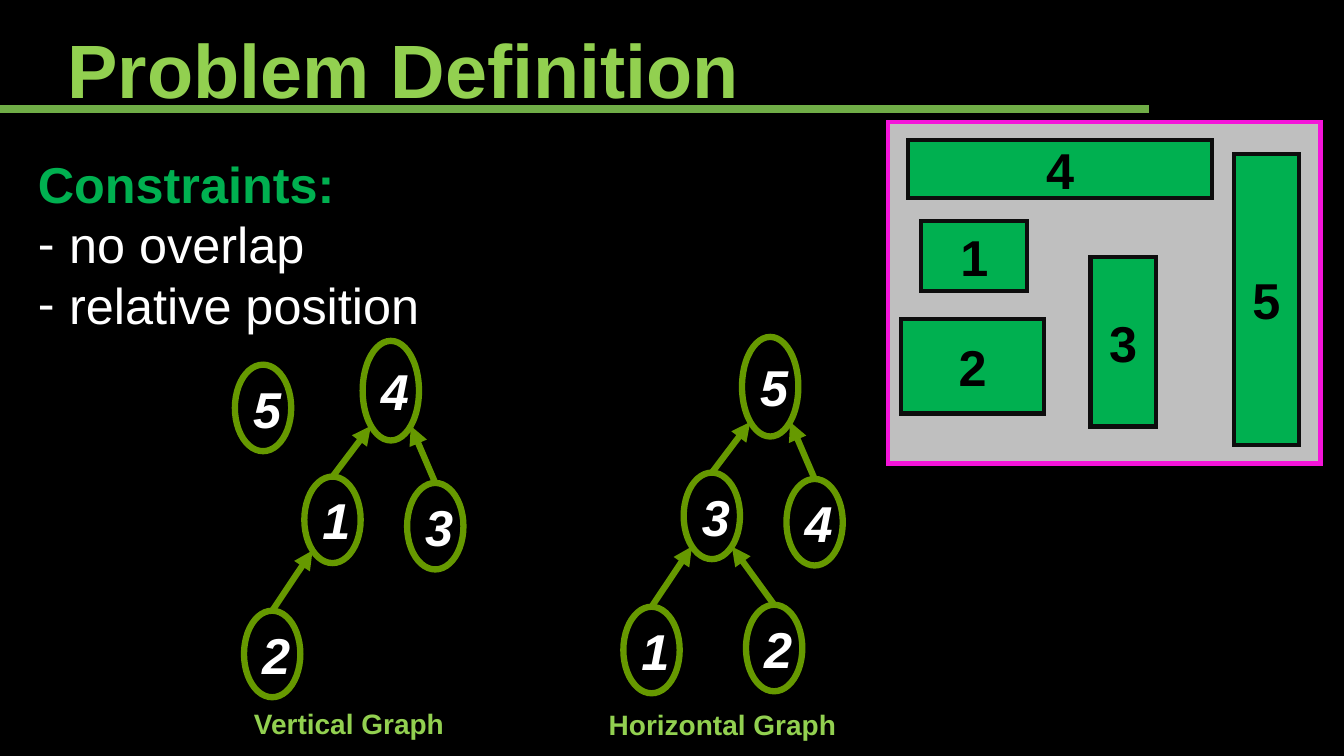
from dataclasses import dataclass
from math import sqrt

from lxml.etree import SubElement
from pptx import Presentation
from pptx.dml.color import RGBColor as Rgb
from pptx.enum.shapes import MSO_CONNECTOR as Link, MSO_SHAPE as Preset
from pptx.enum.text import MSO_ANCHOR as Anchor, MSO_AUTO_SIZE as AutoSize, PP_ALIGN as Align
from pptx.oxml.ns import qn
from pptx.shapes.autoshape import Shape
from pptx.shapes.connector import Connector
from pptx.slide import Slide
from pptx.text.text import TextFrame, _Paragraph as Paragraph
from pptx.util import Cm, Pt


@dataclass(frozen=True)
class Theme:
    font: str = "Arial"
    background: str = "000000"
    title: str = "92D050"
    rule: str = "70AD47"
    block: str = "00B050"
    block_edge: str = "0D0D0D"
    block_text: str = "000000"
    panel: str = "BFBFBF"
    panel_edge: str = "F414D9"
    node: str = "669900"
    text: str = "FFFFFF"
    title_size: float = 54
    body_size: float = 36
    caption_size: float = 20
    rule_width: float = 6
    node_width: float = 4.5
    block_width: float = 3


@dataclass(frozen=True)
class Area:
    left: float
    top: float
    width: float
    height: float


@dataclass(frozen=True)
class Block:
    label: str
    area: Area


@dataclass(frozen=True)
class Graph:
    caption: str
    caption_area: Area
    shift: tuple[float, float]
    labels: dict[str, str]
    edges: list[tuple[str, str]]


THEME = Theme()
PANEL = Area(22.38, 3.07, 10.9, 8.61)
BLOCKS = [
    Block("4", Area(22.89, 3.53, 7.65, 1.47)),
    Block("5", Area(31.09, 3.89, 1.65, 7.32)),
    Block("3", Area(27.48, 6.48, 1.65, 4.27)),
    Block("1", Area(23.22, 5.56, 2.67, 1.78)),
    Block("2", Area(22.71, 8.03, 3.61, 2.39)),
]
SLOTS = {
    "apex": Area(9.14, 8.59, 1.42, 2.51),
    "left": Area(7.67, 12.01, 1.42, 2.18),
    "right": Area(10.26, 12.17, 1.42, 2.18),
    "low left": Area(6.15, 15.39, 1.42, 2.18),
    "low right": Area(9.24, 15.34, 1.42, 2.18),
    "side": Area(5.92, 9.19, 1.42, 2.18),
}
SHARED_EDGES = [("right", "apex"), ("left", "apex"), ("low left", "left")]
GRAPHS = [
    Graph("Horizontal Graph", Area(15.09, 17.7, 8.84, 1.12), (9.56, -0.1),
          {"apex": "5", "right": "4", "left": "3", "low right": "2", "low left": "1"},
          SHARED_EDGES + [("low right", "left")]),
    Graph("Vertical Graph", Area(6.15, 17.68, 8.84, 1.12), (0, 0),
          {"apex": "4", "right": "3", "left": "1", "side": "5", "low left": "2"},
          SHARED_EDGES),
]


def place(shape: Shape, area: Area) -> None:
    shape.left, shape.top = Cm(area.left), Cm(area.top)
    shape.width, shape.height = Cm(area.width), Cm(area.height)


def add_span(para: Paragraph, text: str, size: float, color: str,
             bold: bool = True, italic: bool = False) -> None:
    span = para.add_run()
    span.text = text
    span.font.name = THEME.font
    span.font.size = Pt(size)
    span.font.bold = bold
    span.font.italic = italic
    span.font.color.rgb = Rgb.from_string(color)


def prepare(frame: TextFrame, anchor: Anchor) -> Paragraph:
    frame.word_wrap = True
    frame.auto_size = AutoSize.NONE
    frame.vertical_anchor = anchor
    return frame.paragraphs[0]


def style_line(shape: Shape | Connector, color: str, width: float) -> None:
    shape.line.color.rgb = Rgb.from_string(color)
    shape.line.width = Pt(width)
    SubElement(shape._element.spPr.find(qn("a:ln")), qn("a:miter"), lim="800000")


def add_figure(page: Slide, preset: Preset, area: Area, fill: str | None,
               edge: str, width: float) -> Shape:
    shape = page.shapes.add_shape(preset, 0, 0, 0, 0)
    place(shape, area)
    shape.shadow.inherit = False
    if fill:
        shape.fill.solid()
        shape.fill.fore_color.rgb = Rgb.from_string(fill)
    else:
        shape.fill.background()
    style_line(shape, edge, width)
    return shape


def add_label(shape: Shape, text: str, color: str, italic: bool) -> None:
    para = prepare(shape.text_frame, Anchor.MIDDLE)
    para.alignment = Align.CENTER
    add_span(para, text, THEME.body_size, color, italic=italic)


def add_line(page: Slide, ends: tuple[int, int, int, int], color: str,
             width: float) -> Connector:
    line = page.shapes.add_connector(Link.STRAIGHT, *ends)
    style_line(line, color, width)
    SubElement(line._element.spPr, qn("a:effectLst"))
    return line


def add_arrow(page: Slide, child: Shape, parent: Shape) -> None:
    child_x = child.left + child.width // 2
    parent_x = parent.left + parent.width // 2
    parent_y = parent.top + parent.height // 2
    side = 1 if child_x > parent_x else -1
    end_x = parent_x + side * round(parent.width / 2 / sqrt(2))
    end_y = parent_y + round(parent.height / 2 / sqrt(2))
    arrow = add_line(page, (child_x, child.top, end_x, end_y), THEME.node, THEME.node_width)
    arrow.begin_connect(child, 0)
    SubElement(arrow._element.spPr.find(qn("a:ln")), qn("a:tailEnd"), type="triangle")


def add_title(page: Slide) -> None:
    title = page.shapes.title
    place(title, Area(1.45, 0.45, 19.35, 2.4))
    para = prepare(title.text_frame, Anchor.TOP)
    para.alignment = Align.LEFT
    add_span(para, "Problem Definition", THEME.title_size, THEME.title)


def add_constraints(page: Slide) -> None:
    body = page.placeholders[1]
    place(body, Area(0.7, 3.73, 33.1, 7.95))
    para = prepare(body.text_frame, Anchor.TOP)
    add_span(para, "Constraints:", THEME.body_size, THEME.block)
    for item in ("no overlap", "relative position"):
        add_span(body.text_frame.add_paragraph(), item, THEME.body_size, THEME.text, bold=False)
    for number, para in enumerate(body.text_frame.paragraphs):
        para.space_before = Pt(0)
        para.line_spacing = 1.0
        layout = para._p.get_or_add_pPr()
        indent = Cm(0.79) if number else 0
        layout.set("marL", str(indent))
        layout.set("indent", str(-indent))
        if number:
            SubElement(layout, qn("a:buFont"), typeface=THEME.font)
            SubElement(layout, qn("a:buChar"), char="-")
        else:
            SubElement(layout, qn("a:buNone"))


def add_floorplan(page: Slide) -> None:
    add_figure(page, Preset.RECTANGLE, PANEL, THEME.panel, THEME.panel_edge, THEME.block_width)
    for block in BLOCKS:
        box = add_figure(page, Preset.RECTANGLE, block.area, THEME.block,
                         THEME.block_edge, THEME.block_width)
        add_label(box, block.label, THEME.block_text, italic=False)


def add_graph(page: Slide, graph: Graph) -> None:
    nodes: dict[str, Shape] = {}
    for slot, label in graph.labels.items():
        base = SLOTS[slot]
        area = Area(base.left + graph.shift[0], base.top + graph.shift[1],
                    base.width, base.height)
        nodes[slot] = add_figure(page, Preset.OVAL, area, None, THEME.node, THEME.node_width)
        add_label(nodes[slot], label, THEME.text, italic=True)
    for child, parent in graph.edges:
        add_arrow(page, nodes[child], nodes[parent])
    caption = page.shapes.add_textbox(0, 0, 0, 0)
    place(caption, graph.caption_area)
    para = prepare(caption.text_frame, Anchor.TOP)
    add_span(para, graph.caption, THEME.caption_size, THEME.title)


def main() -> None:
    deck = Presentation()
    deck.slide_width, deck.slide_height = Cm(33.87), Cm(19.05)
    page = deck.slides.add_slide(deck.slide_layouts[1])
    page.background.fill.solid()
    page.background.fill.fore_color.rgb = Rgb.from_string(THEME.background)
    add_title(page)
    add_constraints(page)
    add_line(page, (0, Cm(2.74), Cm(28.96), Cm(2.74)), THEME.rule, THEME.rule_width)
    add_floorplan(page)
    for graph in GRAPHS:
        add_graph(page, graph)
    deck.save("out.pptx")


if __name__ == "__main__":
    main()
